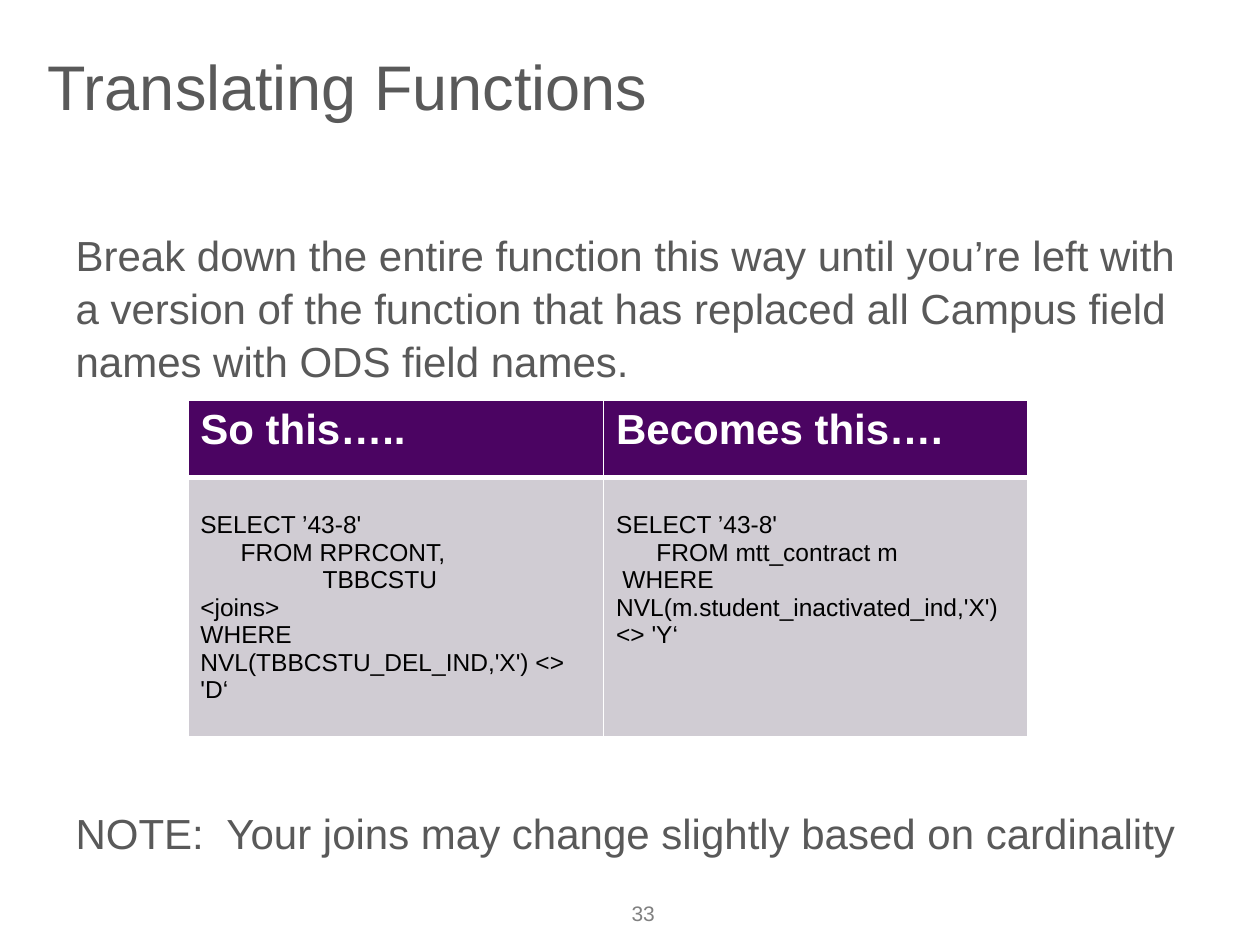
from lxml.etree import SubElement
from pptx import Presentation
from pptx.dml.color import RGBColor
from pptx.enum.text import MSO_ANCHOR, MSO_AUTO_SIZE, PP_ALIGN
from pptx.oxml.ns import qn
from pptx.util import Emu, Pt

SCALE = 9144  # EMU in one px, 100 px to the inch
FONT = "Arial"
COLORS = {"text": "595959", "number": "808080", "white": "FFFFFF",
          "black": "000000", "header": "4B0462", "cell": "D0CCD3"}

HEADINGS = ["So this…..", "Becomes this…."]
# Each code line is an indent in px and its text
CODE = [
    [(0, "SELECT ’43-8'"), (32, "FROM RPRCONT,"), (97, "TBBCSTU"),
     (0, "<joins>"), (0, "WHERE NVL(TBBCSTU_DEL_IND,'X') <> 'D‘")],
    [(0, "SELECT ’43-8'"), (32, "FROM mtt_contract m"), (5, "WHERE"),
     (0, "NVL(m.student_inactivated_ind,'X') <> 'Y‘")],
]


def px(length):
    return Emu(length * SCALE)


def place(shape, box):
    shape.left, shape.top, shape.width, shape.height = map(px, box)


def add_span(para, text, size, color, bold=False):
    span = para.add_run()
    span.text = text
    span.font.name = FONT
    span.font.size = Pt(size)
    span.font.bold = bold
    span.font.color.rgb = RGBColor.from_string(COLORS[color])


def set_indent(para, indent):
    properties = para._p.get_or_add_pPr()
    properties.set("marL", str(px(indent)))
    properties.set("indent", "0")
    return properties


def next_para(frame, index):
    return frame.add_paragraph() if index else frame.paragraphs[0]


def add_title(page, box):
    title = page.shapes.title
    place(title, box)
    frame = title.text_frame
    frame.auto_size = MSO_AUTO_SIZE.NONE
    frame.vertical_anchor = MSO_ANCHOR.MIDDLE
    para = frame.paragraphs[0]
    para.alignment = PP_ALIGN.LEFT
    add_span(para, "Translating Functions", 36, "text")


def add_body(page, box):
    body = page.placeholders[1]
    place(body, box)
    frame = body.text_frame
    frame.auto_size = MSO_AUTO_SIZE.NONE
    # The space before the note leaves room for the table
    paragraphs = [
        (5, "Break down the entire function this way until you’re left with "
            "a version of the function that has replaced all Campus field "
            "names with ODS field names."),
        (240, "NOTE:  Your joins may change slightly based on cardinality"),
    ]
    for index, (space, text) in enumerate(paragraphs):
        para = next_para(frame, index)
        para.space_before = Pt(space)
        para.line_spacing = 1.05
        SubElement(set_indent(para, 0), qn("a:buNone"))
        add_span(para, text, 24, "text")


def style_cell(cell, fill, bottom):
    properties = cell._tc.get_or_add_tcPr()
    for side, points in (("L", 1), ("R", 1), ("T", 1), ("B", bottom)):
        line = SubElement(properties, qn(f"a:ln{side}"), w=str(Pt(points)))
        solid = SubElement(line, qn("a:solidFill"))
        SubElement(solid, qn("a:srgbClr"), val=COLORS["white"])
    cell.fill.solid()
    cell.fill.fore_color.rgb = RGBColor.from_string(COLORS[fill])


def add_code_table(page, box):
    table = page.shapes.add_table(2, 2, *map(px, box)).table
    left_width, header_height = 330, 61
    table.columns[0].width = px(left_width)
    table.columns[1].width = px(box[2] - left_width)
    table.rows[0].height = px(header_height)
    table.rows[1].height = px(box[3] - header_height)
    for column, (heading, lines) in enumerate(zip(HEADINGS, CODE)):
        # Header cell
        cell = table.cell(0, column)
        style_cell(cell, "header", 3)
        add_span(cell.text_frame.paragraphs[0], heading, 24, "white", True)
        # Code cell
        cell = table.cell(1, column)
        style_cell(cell, "cell", 1)
        cell.margin_top = px(27)
        for index, (indent, text) in enumerate(lines):
            para = next_para(cell.text_frame, index)
            set_indent(para, indent)
            add_span(para, text, 14, "black")


def add_page_number(page, box):
    frame = page.shapes.add_textbox(*map(px, box)).text_frame
    frame.word_wrap = True
    para = frame.paragraphs[0]
    para.alignment = PP_ALIGN.CENTER
    add_span(para, "33", 12, "number")


def main():
    deck = Presentation()
    deck.slide_width, deck.slide_height = px(1000), px(750)
    page = deck.slides.add_slide(deck.slide_layouts[1])
    add_title(page, (28, 25, 947, 85))
    add_body(page, (50, 175, 900, 495))
    add_page_number(page, (394, 710, 233, 40))
    add_code_table(page, (149, 318, 667, 267))
    deck.save("out.pptx")


if __name__ == "__main__":
    main()
